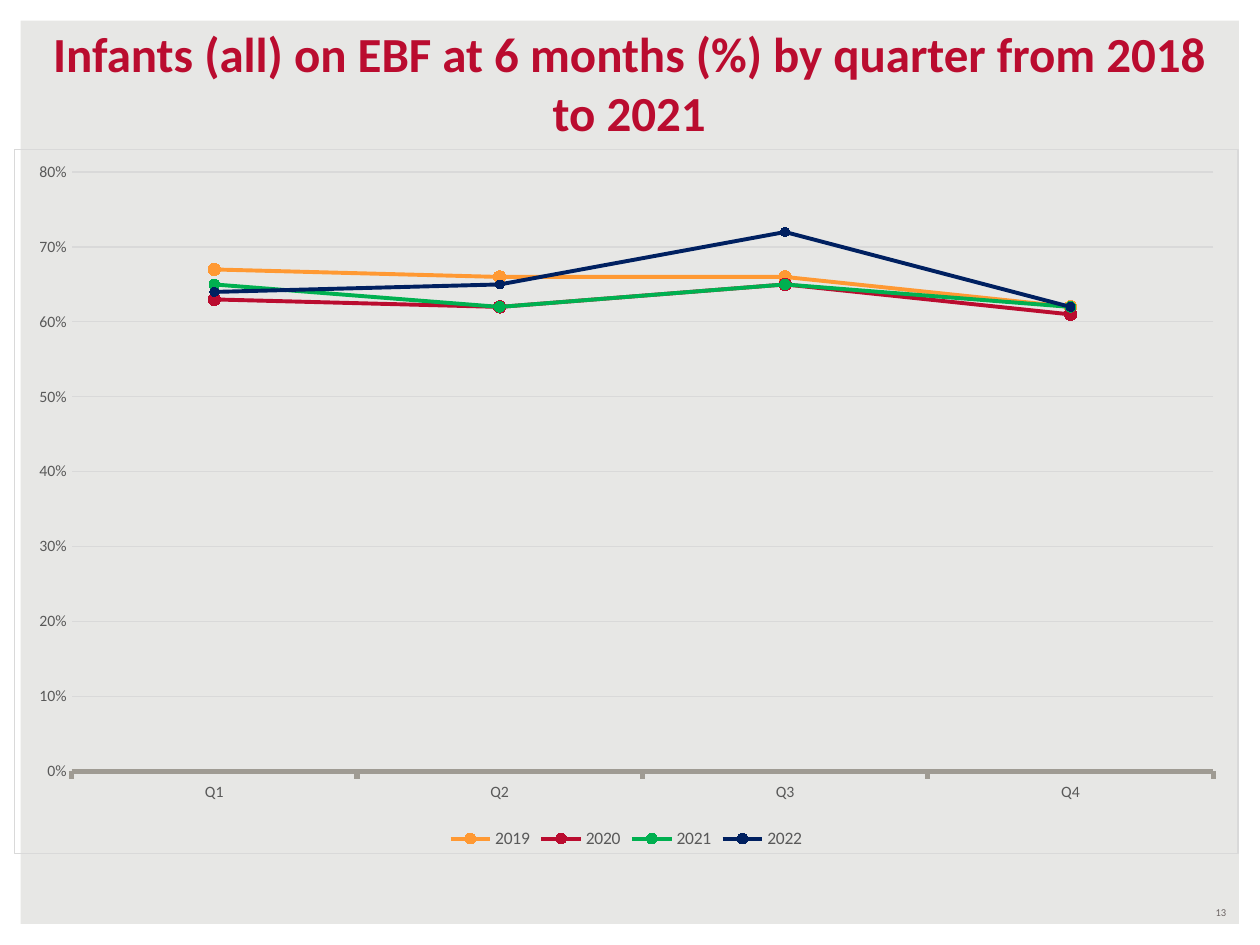
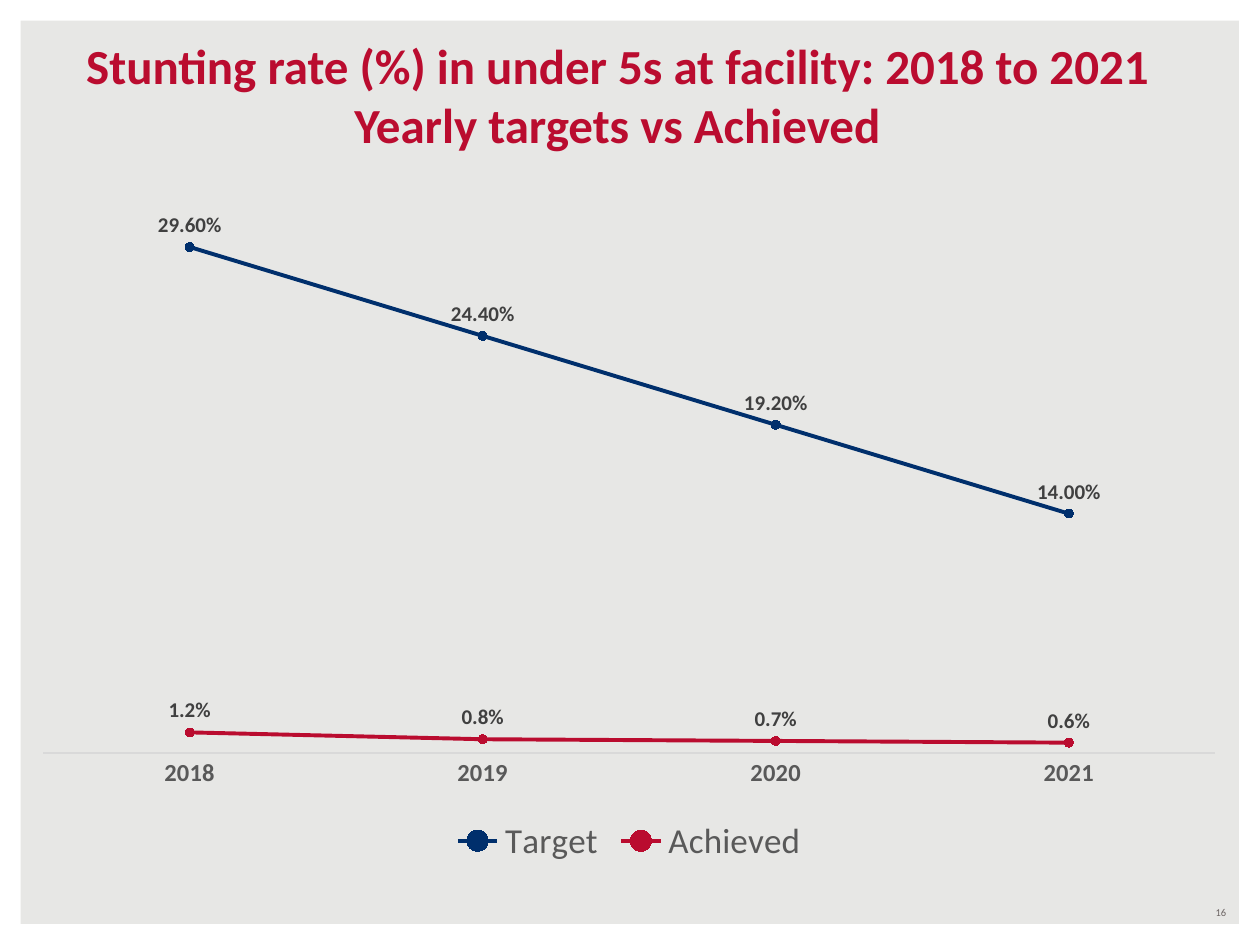
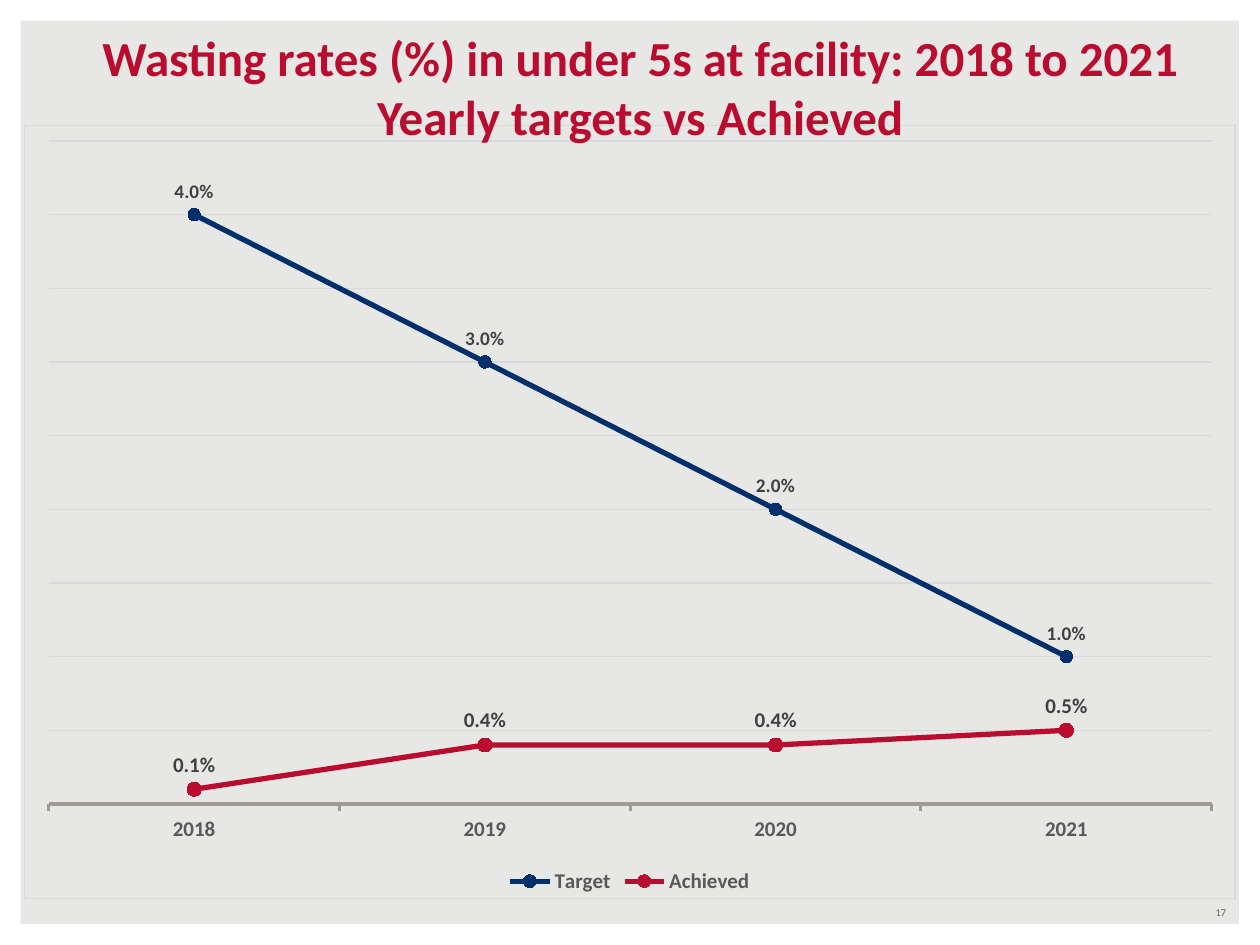
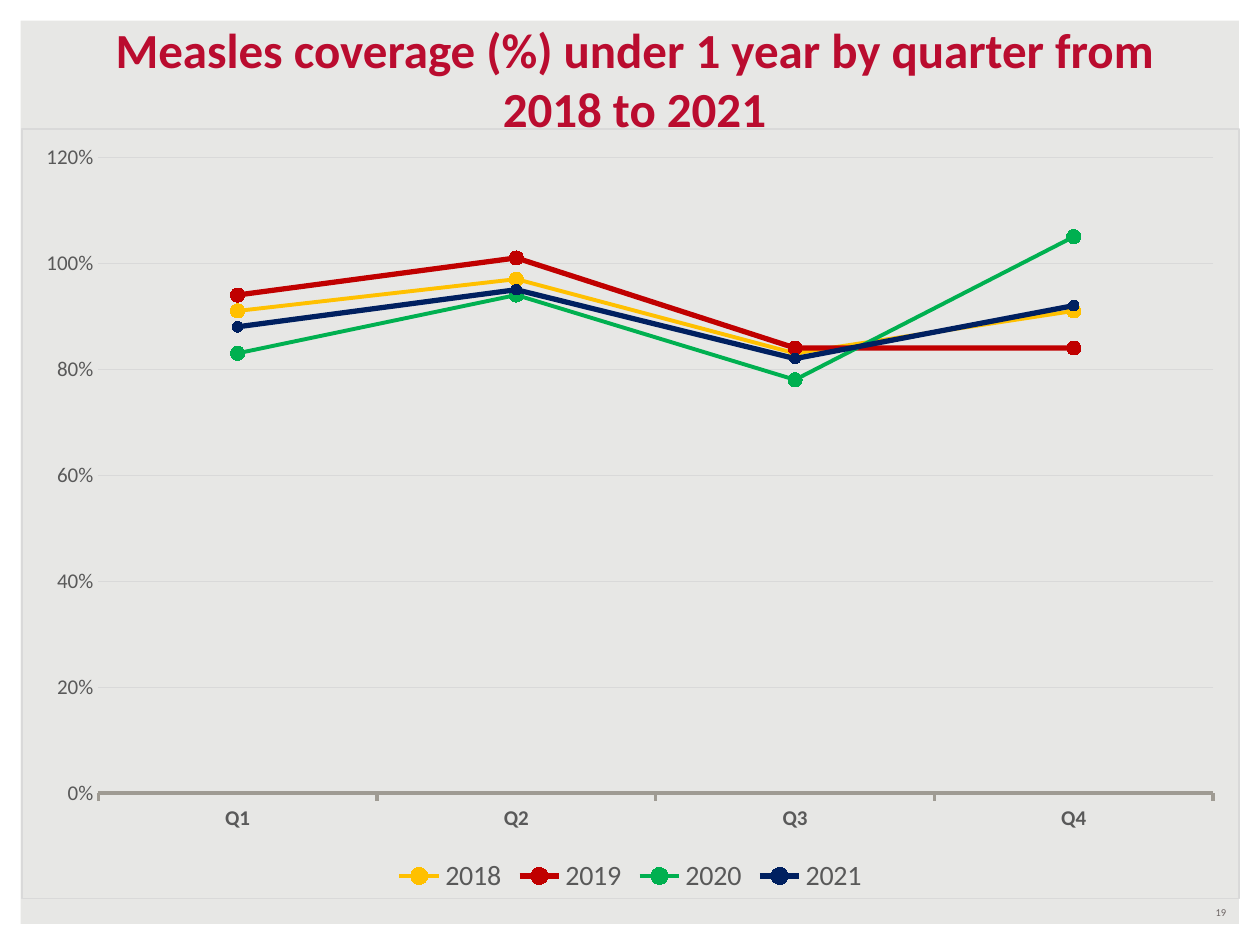
"""Builds four nutrition and immunisation line-chart slides."""
from dataclasses import dataclass

from lxml import etree
from pptx import Presentation
from pptx.chart import data as cd
from pptx.dml import color
from pptx.enum import chart as ec, shapes, text
from pptx.oxml import ns
from pptx.util import Cm, Pt


@dataclass(frozen=True)
class Theme:
    """Colours, font and type sizes shared by the slides."""
    font: str = "Calibri"
    back: str = "E7E7E5"
    white: str = "FFFFFF"
    red: str = "BA0C2F"
    blue: str = "002F6C"
    navy: str = "002060"
    green: str = "00B050"
    orange: str = "FF9933"
    yellow: str = "FFC000"
    dark_red: str = "C00000"
    number: str = "6C6463"
    axis_text: str = "595959"
    label_text: str = "404040"
    axis: str = "9F9B93"
    grid: str = "D9D9D9"
    title_size: int = 28
    number_size: int = 6
    chart_size: int = 10


@dataclass(frozen=True)
class Line:
    """One series: values, look and optional data labels."""
    name: str
    values: tuple
    color: str
    marker: int
    width: float = 2.25
    label_format: str = ""
    label_size: int = 12


@dataclass(frozen=True)
class Look:
    """Axis, legend and plot settings of one chart."""
    plot: tuple
    top: float
    step: float
    number_format: str
    cat_size: int
    legend_size: int
    value_size: int = 0
    axis_width: float = 2
    axis_color: str = Theme.axis
    cat_bold: bool = True
    legend_bold: bool = False
    grid: bool = True
    border: bool = True


T = Theme()
QUARTERS = ("Q1", "Q2", "Q3", "Q4")
YEARS = ("2018", "2019", "2020", "2021")
NUMBER_BOX = (19.05, 18.14, 5.92, 0.5)

SLIDES = (
    dict(
        number="13",
        title="Infants (all) on EBF at 6 months (%) by quarter from 2018 to 2021",
        title_box=(0.58, 0.33, 24.21, 2.64),
        chart_box=(0.28, 3.0, 24.69, 14.22),
        cats=QUARTERS,
        look=Look((1.15, 0.46, 23.04, 12.1), 0.8, 0.1, "0%", 9, 10,
                  value_size=9, axis_width=3, cat_bold=False),
        lines=(
            Line("2019", (0.67, 0.66, 0.66, 0.62), T.orange, 7),
            Line("2020", (0.63, 0.62, 0.65, 0.61), T.red, 7),
            Line("2021", (0.65, 0.62, 0.65, 0.62), T.green, 6),
            Line("2022", (0.64, 0.65, 0.72, 0.62), T.navy, 5),
        ),
    ),
    dict(
        number="16",
        title="Stunting rate (%) in under 5s at facility: 2018 to 2021 "
              "Yearly targets vs Achieved",
        title_box=(0.66, 0.58, 23.57, 2.64),
        chart_box=(0.38, 2.82, 24.61, 14.71),
        cats=YEARS,
        look=Look((0.49, 0.3, 23.63, 12.06), 0.35, 0.05, "0.00%", 14, 20,
                  axis_width=0.75, axis_color=T.grid, grid=False, border=False),
        lines=(
            Line("Target", (0.296, 0.244, 0.192, 0.14), T.blue, 5,
                 label_format="0.00%"),
            Line("Achieved", (0.012, 0.008, 0.007, 0.006), T.red, 5,
                 label_format="0.0%"),
        ),
    ),
    dict(
        number="17",
        title="Wasting rates (%) in under 5s at facility: 2018 to 2021 "
              "Yearly targets vs Achieved",
        title_box=(0.89, 0.41, 24.03, 2.64),
        chart_box=(0.48, 2.51, 24.43, 15.62),
        cats=YEARS,
        look=Look((0.49, 0.32, 23.47, 13.39), 0.045, 0.005, "0.0%", 12, 12,
                  axis_width=1.75, legend_bold=True),
        lines=(
            Line("Target", (0.04, 0.03, 0.02, 0.01), T.blue, 7, 3, "0.0%", 11),
            Line("Achieved", (0.001, 0.004, 0.004, 0.005), T.red, 8, 3, "0.0%"),
        ),
    ),
    dict(
        number="19",
        title="Measles coverage (%) under 1 year by quarter from 2018 to 2021",
        title_box=(1.12, 0.25, 23.34, 2.64),
        chart_box=(0.43, 2.59, 24.56, 15.54),
        cats=QUARTERS,
        look=Look((1.54, 0.57, 22.5, 12.84), 1.2, 0.2, "0%", 12, 16,
                  value_size=12),
        lines=(
            Line("2018", (0.91, 0.97, 0.83, 0.91), T.yellow, 8),
            Line("2019", (0.94, 1.01, 0.84, 0.84), T.dark_red, 8, 3),
            Line("2020", (0.83, 0.94, 0.78, 1.05), T.green, 8),
            Line("2021", (0.88, 0.95, 0.82, 0.92), T.navy, 6, 3),
        ),
    ),
)


def rgb(value):
    """Turn a hex string into a colour."""
    return color.RGBColor.from_string(value)


def lengths(box):
    """Turn a box in centimetres into lengths."""
    return [Cm(n) for n in box]


def style_font(font, size, fill, bold=False):
    """Set face, size, weight and colour of a font."""
    font.name, font.size, font.bold = T.font, Pt(size), bold
    font.color.rgb = rgb(fill)


def paint(fill, value):
    """Make a fill solid in one colour."""
    fill.solid()
    fill.fore_color.rgb = rgb(value)


def stroke(line, value, width):
    """Set colour and width of a line."""
    paint(line.fill, value)
    line.width = Pt(width)


def add_frame(s, prs):
    """Add the white frame around the whole slide."""
    sp = s.shapes.add_shape(shapes.MSO_SHAPE.FRAME, 0, 0,
                            prs.slide_width, prs.slide_height)
    sp.adjustments[0] = 0.022
    sp.shadow.inherit = False
    paint(sp.fill, T.white)
    sp.line.fill.background()


def add_text(s, box, words, size, fill, align, anchor, bold=False):
    """Add a wrapped text box holding one run."""
    tf = s.shapes.add_textbox(*lengths(box)).text_frame
    tf.word_wrap = True
    tf.vertical_anchor = anchor
    p = tf.paragraphs[0]
    p.alignment = align
    r = p.add_run()
    r.text = words
    style_font(r.font, size, fill, bold)


def add_number(s, number):
    """Add the slide number at the bottom right."""
    add_text(s, NUMBER_BOX, number, T.number_size, T.number,
             text.PP_ALIGN.RIGHT, text.MSO_ANCHOR.MIDDLE)


def add_title(s, box, words):
    """Add the centred red title."""
    add_text(s, box, words, T.title_size, T.red,
             text.PP_ALIGN.CENTER, text.MSO_ANCHOR.BOTTOM, True)


def sub(parent, tag, **attrs):
    """Append a child element with attributes."""
    el = etree.SubElement(parent, ns.qn(tag))
    for key, value in attrs.items():
        el.set(key, str(value))
    return el


def place_plot(chart, box, plot):
    """Fix the inner plot area inside the chart box."""
    area = chart._chartSpace.chart.plotArea
    for old in area.findall(ns.qn("c:layout")):
        area.remove(old)
    layout = sub(area, "c:layout")
    area.insert(0, layout)
    manual = sub(layout, "c:manualLayout")
    sub(manual, "c:layoutTarget", val="inner")
    for key in ("xMode", "yMode"):
        sub(manual, f"c:{key}", val="edge")
    for key, part, whole in zip("xywh", plot, box[2:] * 2):
        sub(manual, f"c:{key}", val=round(part / whole, 4))


def outline_chart(chart, border):
    """Give the chart square corners, no fill and an optional border."""
    space = chart._chartSpace
    if space.find(ns.qn("c:roundedCorners")) is None:
        corners = sub(space, "c:roundedCorners", val=0)
        space.find(ns.qn("c:date1904")).addnext(corners)
    props = sub(space, "c:spPr")
    space.chart.addnext(props)
    sub(props, "a:noFill")
    ln = sub(props, "a:ln", w=Pt(0.75))
    if border:
        sub(sub(ln, "a:solidFill"), "a:srgbClr", val=T.grid)
    else:
        sub(ln, "a:noFill")


def style_axes(chart, look):
    """Style the category and value axes."""
    cat, val = chart.category_axis, chart.value_axis
    marks = ec.XL_TICK_MARK
    cat.major_tick_mark = marks.OUTSIDE if look.border else marks.NONE
    cat.minor_tick_mark = val.major_tick_mark = val.minor_tick_mark = marks.NONE
    cat.has_major_gridlines = False
    style_font(cat.tick_labels.font, look.cat_size, T.axis_text, look.cat_bold)
    stroke(cat.format.line, look.axis_color, look.axis_width)
    val.minimum_scale, val.maximum_scale = 0, look.top
    val.major_unit = look.step
    val.has_major_gridlines = look.grid
    if look.grid:
        stroke(val.major_gridlines.format.line, T.grid, 0.75)
    val.tick_labels.number_format = look.number_format
    val.tick_labels.number_format_is_linked = False
    val.visible = bool(look.value_size)
    if look.value_size:
        style_font(val.tick_labels.font, look.value_size, T.axis_text)
        val.format.line.fill.background()


def style_series(series, line):
    """Style one series with its markers and labels."""
    series.smooth = False
    stroke(series.format.line, line.color, line.width)
    series.marker.style = ec.XL_MARKER_STYLE.CIRCLE
    series.marker.size = line.marker
    paint(series.marker.format.fill, line.color)
    stroke(series.marker.format.line, line.color, 0.75)
    if line.label_format:
        labels = series.data_labels
        labels.show_value = True
        labels.position = ec.XL_LABEL_POSITION.ABOVE
        labels.number_format = line.label_format
        labels.number_format_is_linked = False
        style_font(labels.font, line.label_size, T.label_text, True)


def add_line_chart(s, box, cats, lines, look):
    """Add a line chart with markers and a bottom legend."""
    data = cd.CategoryChartData(number_format=look.number_format)
    data.categories = cats
    for line in lines:
        data.add_series(line.name, line.values)
    chart = s.shapes.add_chart(ec.XL_CHART_TYPE.LINE_MARKERS,
                               *lengths(box), data).chart
    style_font(chart.font, T.chart_size, "000000")
    chart.has_title = False
    chart.has_legend = True
    chart.legend.position = ec.XL_LEGEND_POSITION.BOTTOM
    chart.legend.include_in_layout = False
    style_font(chart.legend.font, look.legend_size, T.axis_text, look.legend_bold)
    chart.plots[0].vary_by_categories = False
    style_axes(chart, look)
    for series, line in zip(chart.plots[0].series, lines):
        style_series(series, line)
    place_plot(chart, box, look.plot)
    outline_chart(chart, look.border)


def add_chart_slide(prs, number, title, title_box, chart_box, cats, look, lines):
    """Add one framed slide with a chart, title and number."""
    s = prs.slides.add_slide(prs.slide_layouts[6])
    add_frame(s, prs)
    add_number(s, number)
    add_line_chart(s, chart_box, cats, lines, look)
    add_title(s, title_box, title)


def main():
    """Build and save the presentation."""
    prs = Presentation()
    prs.slide_width, prs.slide_height = Cm(25.4), Cm(19.05)
    paint(prs.slide_master.background.fill, T.back)
    for content in SLIDES:
        add_chart_slide(prs, **content)
    prs.save("out.pptx")


if __name__ == "__main__":
    main()
